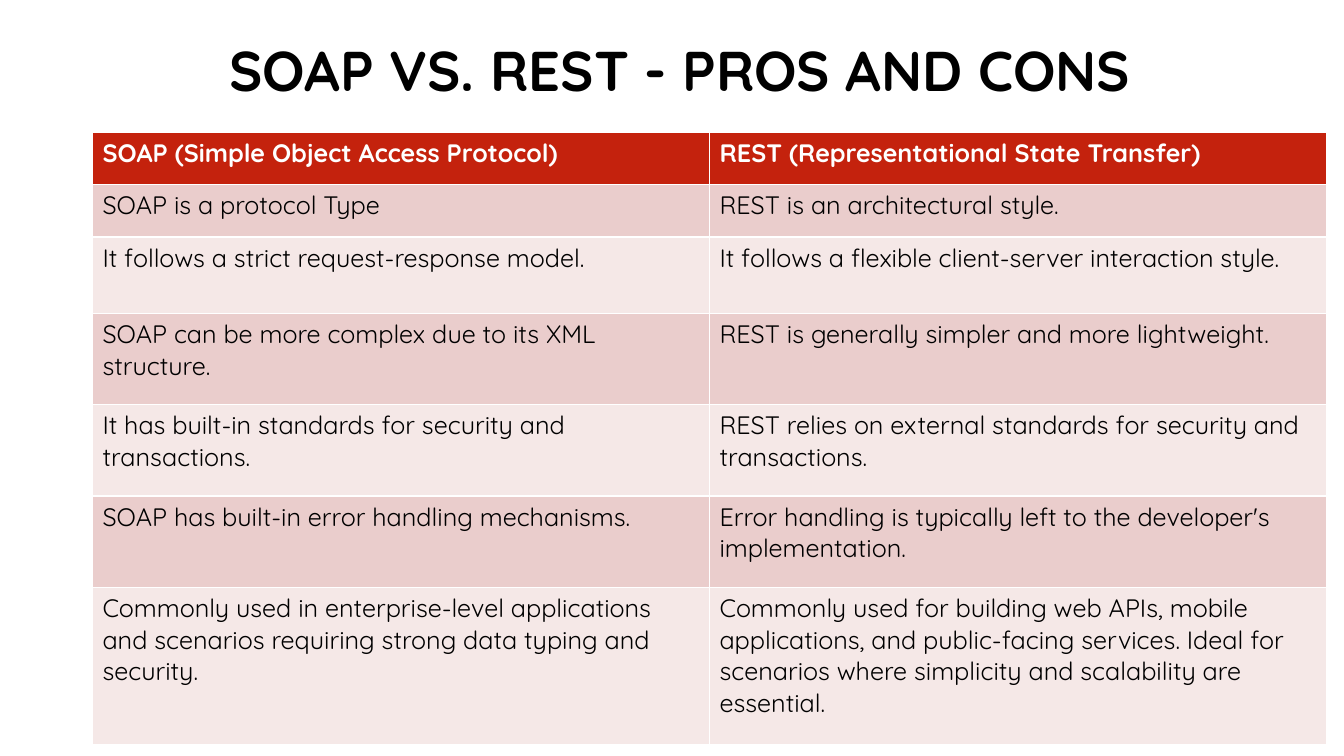
from typing import NamedTuple

from pptx import Presentation
from pptx.dml.color import RGBColor
from pptx.enum.text import MSO_ANCHOR, PP_ALIGN
from pptx.slide import Slide
from pptx.text.text import TextFrame
from pptx.util import Cm, Pt

FONT = "Quicksand"
BLACK, WHITE, RED = "000000", "FFFFFF", "C4220D"
BANDS = ("F5E8E7", "EACDCC")
LEFT = Cm(2.33)


class Row(NamedTuple):
    height: float
    soap: str
    rest: str


ROWS = [
    Row(1.32, "SOAP (Simple Object Access Protocol)",
        "REST (Representational State Transfer)"),
    Row(1.32, "SOAP is a protocol Type", "REST is an architectural style."),
    Row(1.93, "It follows a strict request-response model.",
        "It follows a flexible client-server interaction style."),
    Row(2.3, "SOAP can be more complex due to its XML structure.",
        "REST is generally simpler and more lightweight."),
    Row(2.3, "It has built-in standards for security and transactions.",
        "REST relies on external standards for security and transactions."),
    Row(2.3, "SOAP has built-in error handling mechanisms.",
        "Error handling is typically left to the developer's implementation."),
    Row(3.96, "Commonly used in enterprise-level applications and scenarios "
        "requiring strong data typing and security.",
        "Commonly used for building web APIs, mobile applications, and "
        "public-facing services. Ideal for scenarios where simplicity and "
        "scalability are essential."),
]


def color(code: str) -> RGBColor:
    return RGBColor.from_string(code)


def write(frame: TextFrame, text: str, size: int, code: str, bold: bool) -> None:
    frame.text = text
    for run in frame.paragraphs[0].runs:
        run.font.name = FONT
        run.font.size = Pt(size)
        run.font.bold = bold
        run.font.color.rgb = color(code)


def add_title(slide: Slide) -> None:
    title = slide.shapes.title
    title.left, title.top = LEFT, Cm(0.89)
    title.width, title.height = Cm(29.21), Cm(1.93)
    frame = title.text_frame
    write(frame, " SOAP VS. REST - PROS AND CONS", 40, BLACK, True)
    frame.vertical_anchor = MSO_ANCHOR.MIDDLE
    frame.paragraphs[0].alignment = PP_ALIGN.CENTER
    frame.paragraphs[0].line_spacing = 0.9


def add_grid(slide: Slide) -> None:
    """Add the table; its default style supplies the white borders."""
    total = sum(row.height for row in ROWS)
    table = slide.shapes.add_table(
        len(ROWS), 2, LEFT, Cm(3.33), Cm(31.1), Cm(total)).table
    for i, row in enumerate(ROWS):
        table.rows[i].height = Cm(row.height)
        head = i == 0
        for j, text in enumerate((row.soap, row.rest)):
            cell = table.cell(i, j)
            cell.fill.solid()
            cell.fill.fore_color.rgb = color(RED if head else BANDS[i % 2])
            write(cell.text_frame, text, 18, WHITE if head else BLACK, head)


def main() -> None:
    deck = Presentation()
    deck.slide_width, deck.slide_height = Cm(33.87), Cm(19.05)
    slide = deck.slides.add_slide(deck.slide_layouts[5])
    add_title(slide)
    add_grid(slide)
    deck.save("out.pptx")


if __name__ == "__main__":
    main()
